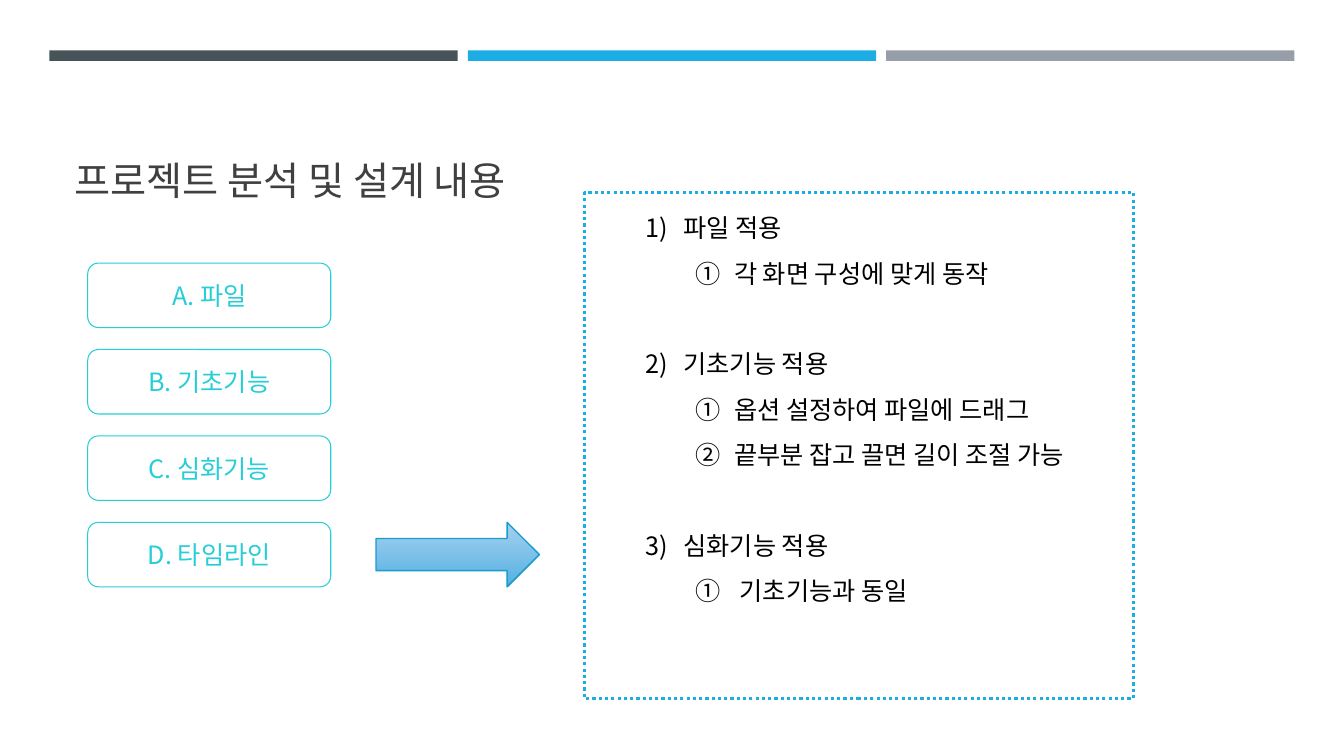
from lxml import etree
from pptx import Presentation
from pptx.dml.color import RGBColor
from pptx.enum.dml import MSO_LINE
from pptx.enum.shapes import MSO_SHAPE
from pptx.enum.text import MSO_ANCHOR, MSO_AUTO_SIZE, PP_ALIGN
from pptx.oxml.ns import qn
from pptx.util import Emu, Inches, Pt

RECTANGLE = MSO_SHAPE.RECTANGLE
ROUNDED = MSO_SHAPE.ROUNDED_RECTANGLE
RIGHT_ARROW = MSO_SHAPE.RIGHT_ARROW
DOTTED = MSO_LINE.ROUND_DOT
LEFT, CENTER = PP_ALIGN.LEFT, PP_ALIGN.CENTER
TOP, MIDDLE, BOTTOM = MSO_ANCHOR.TOP, MSO_ANCHOR.MIDDLE, MSO_ANCHOR.BOTTOM
NO_AUTOFIT = MSO_AUTO_SIZE.NONE

FONT = "Noto Sans CJK KR"
SLIDE_WIDTH, SLIDE_HEIGHT = Inches(13.33), Inches(7.5)

SLATE = RGBColor(0x46, 0x53, 0x59)
BLUE = RGBColor(0x1C, 0xAD, 0xE4)
GRAY = RGBColor(0x96, 0x9F, 0xA7)
CHARCOAL = RGBColor(0x40, 0x40, 0x40)
BLACK = RGBColor(0x00, 0x00, 0x00)
TURQUOISE = RGBColor(0x27, 0xCE, 0xD7)
ARROW_LIGHT = RGBColor(0x9C, 0xCC, 0xED)
ARROW_DARK = RGBColor(0x52, 0xB1, 0xE5)
ARROW_EDGE = RGBColor(0x18, 0x9C, 0xCE)

BAR_COLORS = [SLATE, BLUE, GRAY]
BAR_STEP = 31.13
MENU = ["A. 파일", "B. 기초기능", "C. 심화기능", "D. 타임라인"]
MENU_TOP, MENU_STEP, MENU_HEIGHT = 34.8, 11.43, 8.53
OUTLINE = [
    ("파일 적용", ["각 화면 구성에 맞게 동작"]),
    ("기초기능 적용", ["옵션 설정하여 파일에 드래그", "끝부분 잡고 끌면 길이 조절 가능"]),
    ("심화기능 적용", [" 기초기능과 동일"]),
]


def area(left, top, width, height):
    """Turn percentages of the slide's size into lengths."""
    return [
        Emu(int(size * share / 100))
        for size, share in zip((SLIDE_WIDTH, SLIDE_HEIGHT) * 2, (left, top, width, height))
    ]


def place(shape, bounds):
    """Move and size a placeholder."""
    shape.left, shape.top, shape.width, shape.height = bounds


def add_run(paragraph, text, size, color):
    """Add one run of text in the slide's font."""
    run = paragraph.add_run()
    run.text = text
    run.font.size = Pt(size)
    run.font.name = FONT
    run.font.color.rgb = color
    east_asian = etree.SubElement(run.font._element, qn("a:ea"))
    east_asian.set("typeface", FONT)


def prepare_frame(shape, anchor):
    """Make the text wrap at a fixed size and return its frame."""
    frame = shape.text_frame
    frame.word_wrap = True
    frame.auto_size = NO_AUTOFIT
    frame.vertical_anchor = anchor
    return frame


def set_line(shape, color, width):
    """Outline a shape."""
    shape.line.color.rgb = color
    shape.line.width = Pt(width)


def add_plain_shape(slide, kind, bounds):
    """Add a preset shape with no shadow, fill or line."""
    shape = slide.shapes.add_shape(kind, *bounds)
    shape.shadow.inherit = False
    shape.fill.background()
    shape.line.fill.background()
    return shape


def add_bar(slide, column, color):
    """Add one coloured bar of the top band."""
    bar = add_plain_shape(slide, RECTANGLE, area(3.68 + column * BAR_STEP, 6.67, 30.38, 1.4))
    bar.fill.solid()
    bar.fill.fore_color.rgb = color


def add_title(slide, text):
    """Fill the title placeholder."""
    title = slide.shapes.title
    place(title, area(4.8, 10.27, 90.47, 17.33))
    paragraph = prepare_frame(title, BOTTOM).paragraphs[0]
    paragraph.alignment = LEFT
    add_run(paragraph, text, 28, CHARCOAL)


def add_menu_button(slide, row, text):
    """Add one outlined button of the menu."""
    bounds = area(6.53, MENU_TOP + row * MENU_STEP, 18.08, MENU_HEIGHT)
    button = add_plain_shape(slide, ROUNDED, bounds)
    set_line(button, TURQUOISE, 0.75)
    paragraph = prepare_frame(button, MIDDLE).paragraphs[0]
    paragraph.alignment = CENTER
    add_run(paragraph, text, 18, TURQUOISE)


def add_arrow(slide):
    """Add the shaded arrow beside the last menu button."""
    top = MENU_TOP + (len(MENU) - 1) * MENU_STEP
    arrow = add_plain_shape(slide, RIGHT_ARROW, area(27.98, top, 12.15, MENU_HEIGHT))
    set_line(arrow, ARROW_EDGE, 1)
    arrow.fill.gradient()
    arrow.fill.gradient_angle = 270
    for stop, color, position in zip(arrow.fill.gradient_stops, (ARROW_LIGHT, ARROW_DARK), (0, 1)):
        stop.color.rgb = color
        stop.position = position
    first_color = next(arrow._element.iter(qn("a:srgbClr")))
    etree.SubElement(first_color, qn("a:alpha")).set("val", "90000")


def add_numbered(paragraph, text, level, numbering, gap):
    """Write one automatically numbered line of the outline."""
    paragraph.level = level
    paragraph.alignment = LEFT
    paragraph.line_spacing = 1.5
    paragraph.space_before = Pt(gap)
    paragraph.space_after = Pt(0)
    properties = paragraph._p.get_or_add_pPr()
    properties.set("marL", str(Inches(0.38 + 0.5 * level)))
    properties.set("indent", str(Inches(-0.38)))
    etree.SubElement(properties, qn("a:buFont")).set("typeface", FONT)
    etree.SubElement(properties, qn("a:buAutoNum")).set("type", numbering)
    add_run(paragraph, text, 18, BLACK)


def add_outline(slide, sections):
    """Fill the body placeholder with the two-level outline."""
    body = slide.placeholders[1]
    place(body, area(43.51, 25.47, 40.81, 66.93))
    set_line(body, BLUE, 2.25)
    body.line.dash_style = DOTTED
    frame = prepare_frame(body, TOP)
    paragraph = frame.paragraphs[0]
    for index, (heading, details) in enumerate(sections):
        if index:
            paragraph = frame.add_paragraph()
        add_numbered(paragraph, heading, 1, "arabicParenR", 32.4 if index else 0)
        for detail in details:
            add_numbered(frame.add_paragraph(), detail, 2, "circleNumDbPlain", 0)


def main():
    """Build and save the slide."""
    presentation = Presentation()
    presentation.slide_width, presentation.slide_height = SLIDE_WIDTH, SLIDE_HEIGHT
    slide = presentation.slides.add_slide(presentation.slide_layouts[1])
    for column, color in enumerate(BAR_COLORS):
        add_bar(slide, column, color)
    add_title(slide, "프로젝트 분석 및 설계 내용")
    add_outline(slide, OUTLINE)
    for row, text in enumerate(MENU):
        add_menu_button(slide, row, text)
    add_arrow(slide)
    presentation.save("out.pptx")


main()
